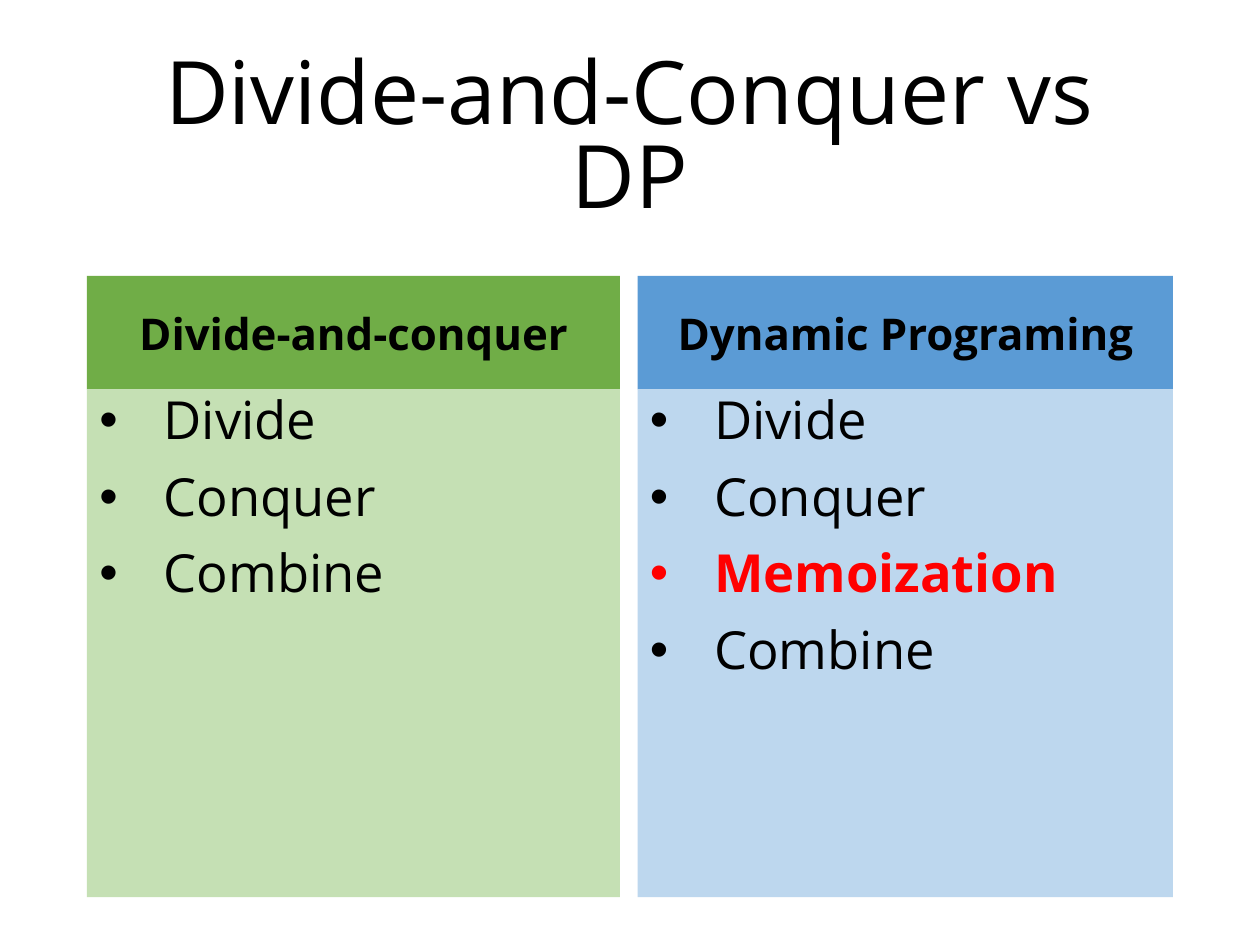
from lxml import etree
from pptx import Presentation
from pptx.dml.color import RGBColor
from pptx.enum.shapes import MSO_SHAPE
from pptx.enum.text import MSO_ANCHOR, PP_ALIGN
from pptx.oxml.ns import qn
from pptx.util import Inches, Pt

FONT = "Open Sans"
BLACK, RED = "000000", "FF0000"
TITLE = "Divide-and-Conquer vs DP"
HIGHLIGHT = "Memoization"
COLUMNS = [
    {"heading": "Divide-and-conquer", "left": 0.69, "width": 4.23,
     "dark": "70AD47", "light": "C5E0B4",
     "steps": ["Divide", "Conquer", "Combine"]},
    {"heading": "Dynamic Programing", "left": 5.06, "width": 4.25,
     "dark": "5B9BD5", "light": "BDD7EE",
     "steps": ["Divide", "Conquer", HIGHLIGHT, "Combine"]},
]
HEADING_TOP, HEADING_HEIGHT, BODY_HEIGHT = 2.19, 0.9, 4.03
BULLET_INDENT = Inches(0.51)


def color(value):
    return RGBColor.from_string(value)


def format_paragraph(paragraph, size, align, line_spacing, space=0, bold=False, text_color=BLACK):
    paragraph.alignment = align
    paragraph.line_spacing = line_spacing
    paragraph.space_before = paragraph.space_after = Pt(space)
    for run in paragraph.runs:
        run.font.name = FONT
        run.font.size = Pt(size)
        run.font.bold = bold
        run.font.color.rgb = color(text_color)


def add_bullet(paragraph):
    properties = paragraph._p.get_or_add_pPr()
    properties.set("marL", str(BULLET_INDENT))
    properties.set("indent", str(-BULLET_INDENT))
    etree.SubElement(properties, qn("a:buFont")).set("typeface", "Arial")
    etree.SubElement(properties, qn("a:buChar")).set("char", "•")


def add_panel(slide, left, top, width, height, fill, anchor, text):
    shape = slide.shapes.add_shape(
        MSO_SHAPE.RECTANGLE, Inches(left), Inches(top), Inches(width), Inches(height))
    shape.shadow.inherit = False
    shape.fill.solid()
    shape.fill.fore_color.rgb = color(fill)
    shape.line.fill.background()
    shape.text_frame.word_wrap = True
    shape.text_frame.vertical_anchor = anchor
    shape.text_frame.text = text
    return shape.text_frame.paragraphs


def add_title(slide):
    text_frame = slide.shapes.add_textbox(
        Inches(0.69), Inches(0.4), Inches(8.62), Inches(1.45)).text_frame
    text_frame.word_wrap = True
    text_frame.vertical_anchor = MSO_ANCHOR.MIDDLE
    text_frame.text = TITLE
    format_paragraph(text_frame.paragraphs[0], 50, PP_ALIGN.CENTER, 0.8)


def add_column(slide, column):
    left, width = column["left"], column["width"]
    heading = add_panel(slide, left, HEADING_TOP, width, HEADING_HEIGHT,
                        column["dark"], MSO_ANCHOR.MIDDLE, column["heading"])
    format_paragraph(heading[0], 25, PP_ALIGN.CENTER, 1.0, 6, bold=True)

    steps = add_panel(slide, left, HEADING_TOP + HEADING_HEIGHT, width, BODY_HEIGHT,
                      column["light"], MSO_ANCHOR.TOP, "\n".join(column["steps"]))
    for paragraph in steps:
        highlighted = paragraph.text == HIGHLIGHT
        format_paragraph(paragraph, 30, PP_ALIGN.LEFT, 0.88, 6, bold=highlighted,
                         text_color=RED if highlighted else BLACK)
        add_bullet(paragraph)


def main():
    presentation = Presentation()
    presentation.slide_width, presentation.slide_height = Inches(10), Inches(7.5)
    slide = presentation.slides.add_slide(presentation.slide_layouts[6])
    add_title(slide)
    for column in COLUMNS:
        add_column(slide, column)
    presentation.save("out.pptx")


if __name__ == "__main__":
    main()
